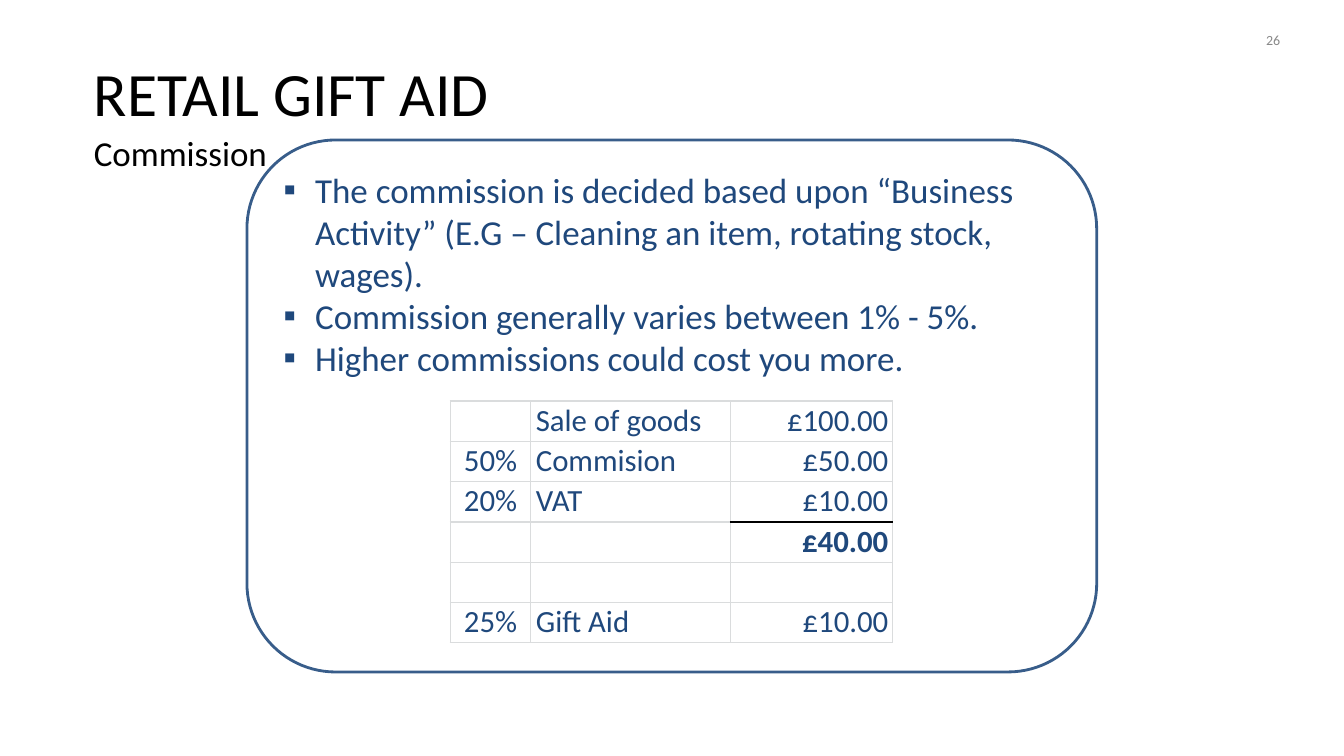
from lxml.etree import SubElement
from pptx import Presentation
from pptx.dml.color import RGBColor
from pptx.enum.shapes import MSO_SHAPE
from pptx.enum.text import MSO_ANCHOR, MSO_AUTO_SIZE, PP_ALIGN
from pptx.oxml import parse_xml
from pptx.oxml.ns import nsdecls, qn
from pptx.util import Pt

BLACK = RGBColor(0x00, 0x00, 0x00)
GREY = RGBColor(0x88, 0x88, 0x88)
NAVY = RGBColor(0x1F, 0x48, 0x7C)
FRAME_BLUE = RGBColor(0x38, 0x5D, 0x8A)
GRID_GREY = RGBColor(0xDA, 0xDC, 0xDD)

BULLETS = [
    "The commission is decided based upon “Business Activity” "
    "(E.G – Cleaning an item, rotating stock, wages).",
    "Commission generally varies between 1% - 5%.",
    "Higher commissions could cost you more.",
]
ROWS = [
    ("", "Sale of goods", "£100.00"),
    ("50%", "Commision", "£50.00"),
    ("20%", "VAT", "£10.00"),
    ("", "", "£40.00"),
    ("", "", ""),
    ("25%", "Gift Aid", "£10.00"),
]
TOTAL_ROW = 3
AMOUNT_COLUMN = 2
COLUMN_WIDTHS = (57.6, 142.6, 115.6)
COLUMN_ALIGNMENTS = (PP_ALIGN.CENTER, PP_ALIGN.LEFT, PP_ALIGN.RIGHT)
ROW_HEIGHT = 28.8


def format_paragraph(paragraph, size, color, before=0, align=PP_ALIGN.LEFT, bold=False):
    paragraph.alignment = align
    paragraph.space_before = Pt(before)
    font = paragraph.font
    font.name = "Calibri"
    font.size = Pt(size)
    font.bold = bold
    font.color.rgb = color


def place(shape, left, top, width, height, anchor=MSO_ANCHOR.TOP):
    """Position a text shape and give it a tight, wrapping frame."""
    shape.left, shape.top = Pt(left), Pt(top)
    shape.width, shape.height = Pt(width), Pt(height)
    frame = shape.text_frame
    frame.margin_left = frame.margin_right = frame.margin_bottom = 0
    frame.margin_top = Pt(1)
    frame.word_wrap = True
    frame.auto_size = MSO_AUTO_SIZE.NONE
    frame.vertical_anchor = anchor
    return frame


def add_title(slide):
    frame = place(slide.shapes.title, 67, 28.8, 828, 104.4, MSO_ANCHOR.MIDDLE)
    frame.text = "RETAIL GIFT AID\nCommission"
    heading, subheading = frame.paragraphs
    format_paragraph(heading, 44, BLACK, 1)
    format_paragraph(subheading, 25, BLACK, 1.4)


def add_square_bullet(paragraph, indent):
    properties = paragraph._p.get_or_add_pPr()
    properties.set("marL", str(Pt(indent)))
    properties.set("indent", str(-Pt(indent - 1)))
    SubElement(properties, qn("a:buFont")).set("typeface", "Calibri")
    SubElement(properties, qn("a:buChar")).set("char", "▪")


def add_bullets(slide):
    frame = place(slide.placeholders[1], 201.6, 119.5, 525, 152)
    frame.text = "\n".join(BULLETS)
    for paragraph in frame.paragraphs:
        paragraph.space_before = Pt(0)
        add_square_bullet(paragraph, 23.5)
        format_paragraph(paragraph, 25, NAVY)


def add_frame(slide):
    shape = slide.shapes.add_shape(
        MSO_SHAPE.ROUNDED_RECTANGLE, Pt(176.4), Pt(100), Pt(607), Pt(380))
    shape.shadow.inherit = False
    shape.fill.background()
    shape.line.color.rgb = FRAME_BLUE
    shape.line.width = Pt(2)


def add_page_number(slide):
    box = slide.shapes.add_textbox(0, 0, 0, 0)
    frame = place(box, 904.3, 21.6, 13, 13.7)
    frame.text = "26"
    format_paragraph(frame.paragraphs[0], 10, GREY, 1)


def set_borders(cell, top, bottom):
    colors = {"lnL": GRID_GREY, "lnR": GRID_GREY, "lnT": top, "lnB": bottom}
    properties = cell._tc.get_or_add_tcPr()
    for position, (side, color) in enumerate(colors.items()):
        properties.insert(position, parse_xml(
            f'<a:{side} {nsdecls("a")} w="{Pt(1)}"><a:solidFill>'
            f'<a:srgbClr val="{color}"/></a:solidFill></a:{side}>'))


def fill_cell(cell, text, row, column):
    is_amount = column == AMOUNT_COLUMN
    cell.fill.background()
    cell.margin_left = Pt(3.6 if column == 1 else 0)
    cell.margin_right = Pt(2.9 if is_amount else 0)
    cell.margin_top, cell.margin_bottom = Pt(0.7), 0
    cell.text = text
    format_paragraph(cell.text_frame.paragraphs[0], 22, NAVY, 0.8,
                     COLUMN_ALIGNMENTS[column], is_amount and row == TOTAL_ROW)
    set_borders(
        cell,
        BLACK if is_amount and row == TOTAL_ROW else GRID_GREY,
        BLACK if is_amount and row == TOTAL_ROW - 1 else GRID_GREY)


def add_commission_table(slide):
    table = slide.shapes.add_table(
        len(ROWS), len(COLUMN_WIDTHS), Pt(321.6), Pt(286.4),
        Pt(sum(COLUMN_WIDTHS)), Pt(ROW_HEIGHT * len(ROWS))).table
    table.first_row = table.horz_banding = False
    for column, width in zip(table.columns, COLUMN_WIDTHS):
        column.width = Pt(width)
    for row, texts in enumerate(ROWS):
        table.rows[row].height = Pt(ROW_HEIGHT)
        for column, text in enumerate(texts):
            fill_cell(table.cell(row, column), text, row, column)


def main():
    presentation = Presentation()
    presentation.slide_width, presentation.slide_height = Pt(960), Pt(540)
    slide = presentation.slides.add_slide(presentation.slide_layouts[1])
    add_page_number(slide)
    add_frame(slide)
    add_bullets(slide)
    add_title(slide)
    add_commission_table(slide)
    presentation.save("out.pptx")


if __name__ == "__main__":
    main()
